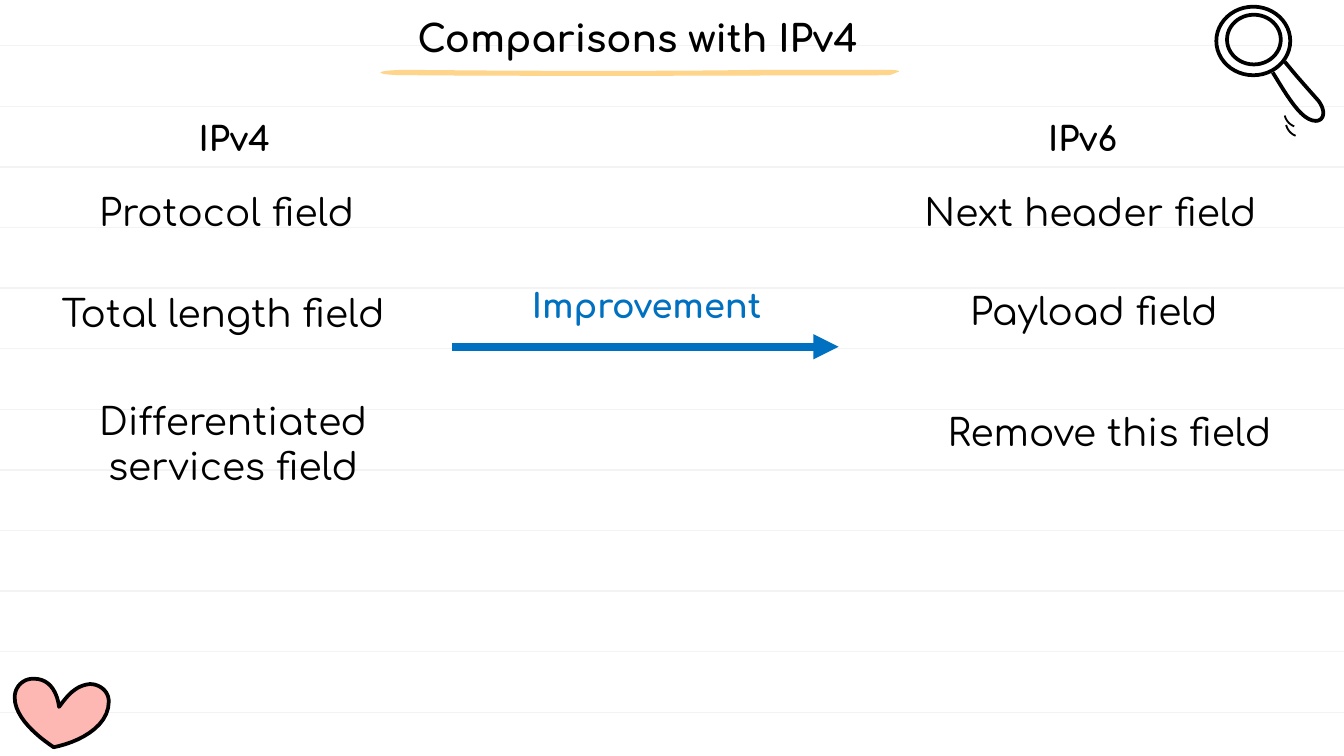
from pptx import Presentation
from pptx.dml.color import RGBColor
from pptx.enum.shapes import MSO_CONNECTOR as Connector, MSO_SHAPE as Shape
from pptx.enum.text import MSO_ANCHOR as Anchor, MSO_AUTO_SIZE as AutoSize, PP_ALIGN as Align
from pptx.oxml.ns import qn
from pptx.util import Inches, Pt
from lxml import etree

hex_color = RGBColor.from_string

presentation = Presentation()
presentation.slide_width = Inches(10)
presentation.slide_height = Inches(10) * 9 // 16
layout = presentation.slide_layouts[5]
slide = presentation.slides.add_slide(layout)
shapes = slide.shapes


def write_text(text, left, top, width, height, shape=None, size=20, color="000000",
               bold=False, align=Align.LEFT, anchor=Anchor.BOTTOM, inset=0.1):
    box = (Inches(left), Inches(top), Inches(width), Inches(height))
    if shape is None:
        shape = shapes.add_textbox(*box)
    else:
        shape.left, shape.top, shape.width, shape.height = box
    frame = shape.text_frame
    frame.word_wrap = True
    frame.auto_size = AutoSize.NONE
    frame.vertical_anchor = anchor
    frame.margin_left = frame.margin_right = Inches(0.1)
    frame.margin_top = frame.margin_bottom = Inches(inset)
    paragraph = frame.paragraphs[0]
    paragraph.alignment = align
    run = paragraph.add_run()
    run.text = text
    run.font.name = "Comfortaa"
    run.font.size = Pt(size)
    run.font.bold = bold
    run.font.color.rgb = hex_color(color)


def draw_curve(start, curves, fill=None, line=None, closed=True, shift=0, steps=12):
    points = [start]
    for x1, y1, x2, y2, x3, y3 in curves:
        x0, y0 = points[-1]
        for step in range(1, steps + 1):
            t = step / steps
            a, b, c, d = (1 - t) ** 3, 3 * t * (1 - t) ** 2, 3 * t * t * (1 - t), t ** 3
            points.append((a * x0 + b * x1 + c * x2 + d * x3,
                           a * y0 + b * y1 + c * y2 + d * y3))
    points = [(Inches(x + shift), Inches(y)) for x, y in points]
    builder = shapes.build_freeform(*points[0], scale=1.0)
    builder.add_line_segments(points[1:], close=closed)
    shape = builder.convert_to_shape()
    shape.shadow.inherit = False
    if fill:
        shape.fill.solid()
        shape.fill.fore_color.rgb = hex_color(fill)
    else:
        shape.fill.background()
    if line:
        shape.line.color.rgb = hex_color("000000")
        shape.line.width = Pt(line)
    else:
        shape.line.fill.background()


rule_count = 12
rule_gap = (5.3 - 0.34) / (rule_count - 1)
lines = [(0, 0.34 + rule_gap * row, 10.03, "F3F3F3", 0.75) for row in range(rule_count)]
lines.append((3.36, 2.58, 6.24, "0070C0", 4.5))
for number, (left, top, right, color, width) in enumerate(lines):
    connector = shapes.add_connector(
        Connector.STRAIGHT, Inches(left), Inches(top), Inches(right), Inches(top))
    connector.line.color.rgb = hex_color(color)
    connector.line.width = Pt(width)
    properties = connector._element.spPr
    etree.SubElement(properties, qn("a:effectLst"))
    if number < rule_count:
        connector._element.nvCxnSpPr.cNvPr.set("id", str(100 + number))
        layout.shapes._spTree.insert(2 + number, connector._element)
    else:
        etree.SubElement(properties.find(qn("a:ln")), qn("a:tailEnd"), type="triangle")

for left, top, width, height in [(9.05, 0.05, 0.55, 0.51), (9.13, 0.11, 0.4, 0.37)]:
    ring = shapes.add_shape(
        Shape.OVAL, Inches(left), Inches(top), Inches(width), Inches(height))
    ring.shadow.inherit = False
    ring.fill.background()
    ring.line.color.rgb = hex_color("000000")
    ring.line.width = Pt(2)

draw_curve((9.56, 0.46), [
    (9.64, 0.56, 9.73, 0.66, 9.81, 0.75),
    (9.87, 0.83, 9.85, 0.9, 9.79, 0.9),
    (9.68, 0.9, 9.57, 0.7, 9.47, 0.54),
], line=2, closed=False)
for left, top in [(9.56, 0.86), (9.57, 0.93)]:
    draw_curve((left, top), [
        (left + 0.01, top + 0.04, left + 0.04, top + 0.07, left + 0.07, top + 0.08),
    ], line=1, closed=False)

draw_curve((2.83, 0.54), [
    (2.85, 0.52, 3, 0.52, 3.07, 0.52),
    (4, 0.53, 5, 0.53, 5.65, 0.52),
    (6, 0.52, 6.3, 0.52, 6.62, 0.52),
    (6.68, 0.52, 6.71, 0.53, 6.67, 0.54),
    (6.64, 0.55, 6.64, 0.56, 6.58, 0.56),
    (5.5, 0.56, 4.5, 0.57, 3.1, 0.56),
    (3, 0.56, 2.85, 0.56, 2.83, 0.54),
], fill="FED58A")

heart = [
    (0.43, 5.18, 0.39, 5.05, 0.25, 5.05),
    (0.17, 5.05, 0.11, 5.11, 0.11, 5.19),
    (0.11, 5.34, 0.28, 5.48, 0.4, 5.56),
    (0.56, 5.53, 0.81, 5.42, 0.81, 5.22),
    (0.81, 5.14, 0.74, 5.09, 0.67, 5.09),
    (0.56, 5.1, 0.5, 5.18, 0.44, 5.26),
]
draw_curve((0.44, 5.26), heart, fill="FEB8B3", shift=0.01)
draw_curve((0.44, 5.26), heart, line=2)

write_text("Comparisons with IPv4", 2.62, 0.01, 4.25, 0.66, shape=shapes.title,
           bold=True, align=Align.CENTER, anchor=Anchor.TOP)

for text, left, top, width, color in [
    ("IPv4", 1.38, 0.83, 0.84, "000000"),
    ("IPv6", 7.7, 0.83, 0.84, "000000"),
    ("Improvement", 3.86, 2.07, 2.1, "0070C0"),
]:
    write_text(text, left, top, width, 0.4, size=18, color=color, bold=True,
               anchor=Anchor.TOP, inset=0.05)

for text, left, top, width, height, align in [
    ("Protocol field", 0.64, 1.3, 2.33, 0.54, Align.LEFT),
    ("Total length field", 0.36, 2.05, 2.88, 0.54, Align.LEFT),
    ("Differentiated services field", 0.36, 2.94, 2.75, 0.79, Align.CENTER),
    ("Next header field", 6.78, 1.3, 2.79, 0.54, Align.LEFT),
    ("Payload field", 7.12, 2.04, 2.1, 0.54, Align.LEFT),
    ("Remove this field", 6.88, 2.94, 2.75, 0.54, Align.CENTER),
]:
    write_text(text, left, top, width, height, align=align)

presentation.save("out.pptx")
